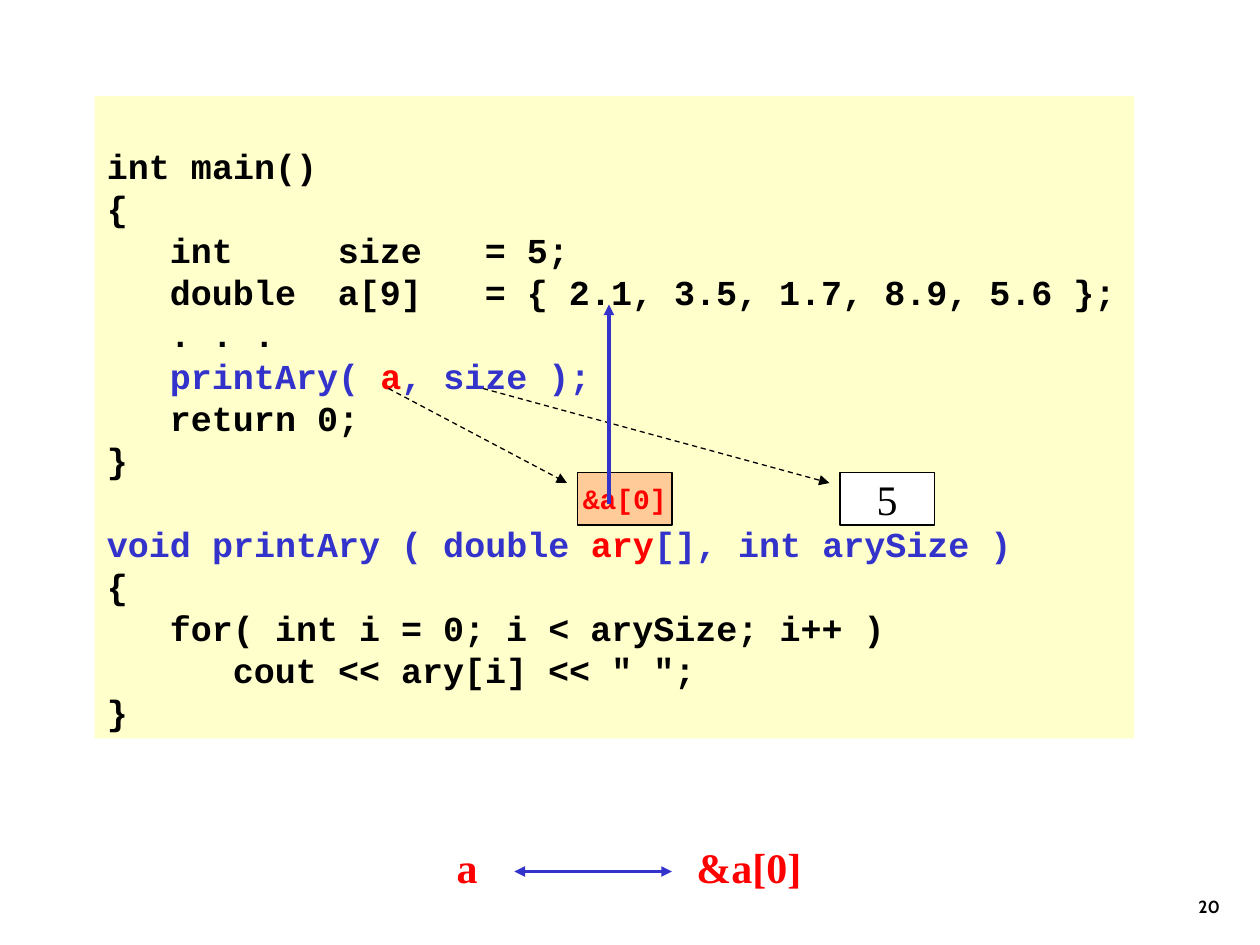
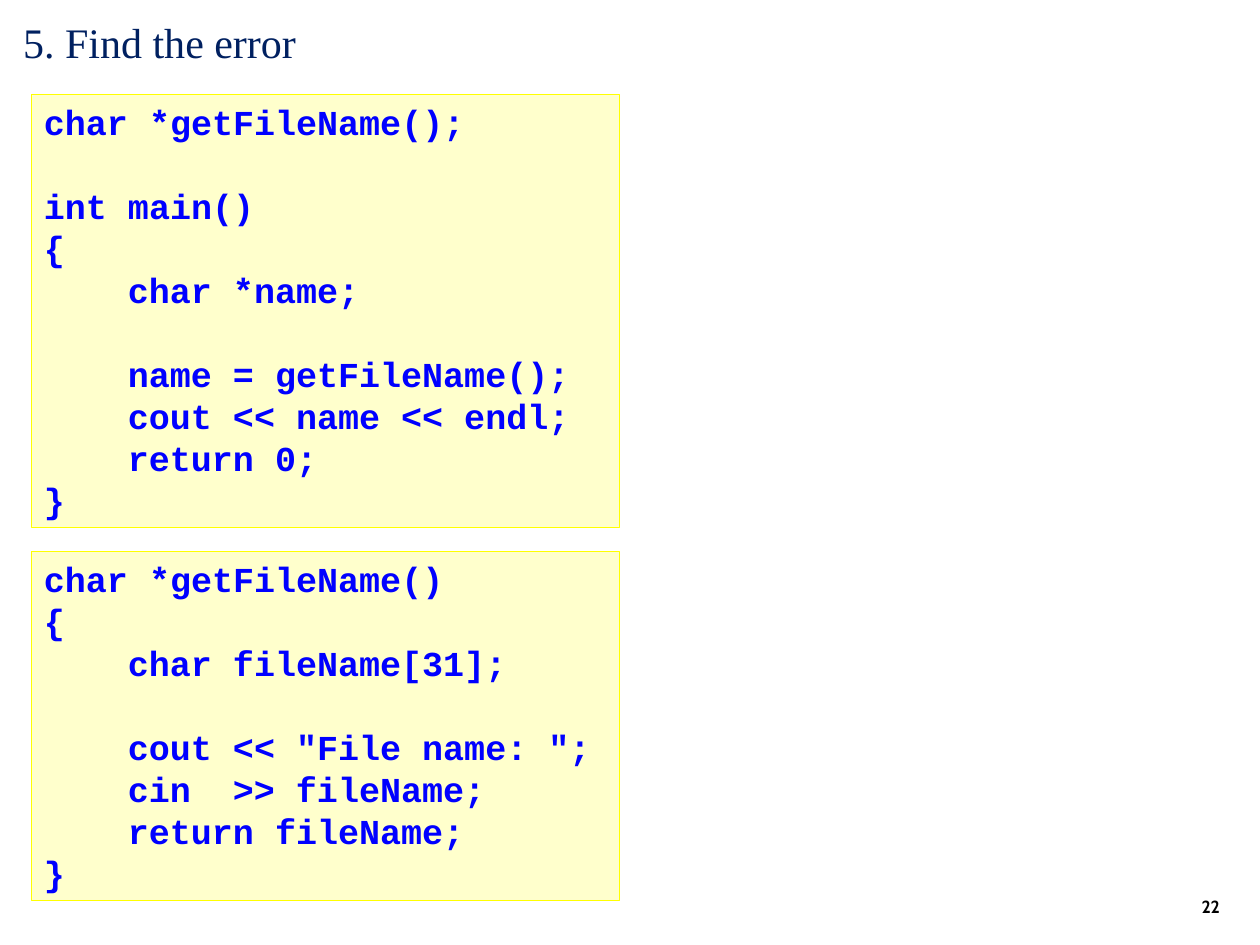
from lxml import etree
from pptx import Presentation
from pptx.dml.color import RGBColor
from pptx.enum import dml, shapes, text
from pptx.oxml import ns
from pptx.util import Pt

COLORS = {"black": "000000", "white": "FFFFFF", "red": "FF0000", "call": "3333CC",
          "code": "0000FF", "cream": "FFFFCC", "peach": "FFCC99",
          "edge": "FFFF00", "title": "002060"}
SERIF, MONO, NUMBER_FONT = "Times New Roman", "Courier New", "Cabin"
CODE_SIZE, CHAR_W, CODE_PITCH = 20, 12, 24
BLANK = None

MAIN_CODE = [
    BLANK,
    (0, "int main()"),
    (0, "{"),
    ((3, 11, 18), "int\tsize\t= 5;"),
    ((3, 11, 18), "double\ta[9]\t= { 2.1, 3.5, 1.7, 8.9, 5.6 };"),
    (3, ". . ."),
    (3, [("printAry( ", "call"), ("a", "red"), (", size );", "call")]),
    (3, "return 0;"),
    (0, "}"),
    BLANK,
    (0, [("void printAry ( double ", "call"), ("ary", "red"),
         ("[], int arySize )", "call")]),
    (0, "{"),
    (3, "for( int i = 0; i < arySize; i++ )"),
    (6, 'cout << ary[i] << " ";'),
    (0, "}"),
]
CALLER_CODE = [
    (0, "char *getFileName();"), BLANK,
    (0, "int main()"), (0, "{"),
    (4, "char *name;"), BLANK,
    (4, "name = getFileName();"), (4, "cout << name << endl;"),
    (4, "return 0;"), (0, "}"),
]
FUNCTION_CODE = [
    (0, "char *getFileName()"), (0, "{"),
    (4, "char fileName[31];"), BLANK,
    (4, 'cout << "File name: ";'), ((4, 9), "cin\t>> fileName;"),
    (4, "return fileName;"), (0, "}"),
]


def rgb(name):
    """Return a palette colour."""
    return RGBColor.from_string(COLORS[name])


def add_run(p, words, font, size, color, bold=False):
    """Append one formatted run to a paragraph."""
    r = p.add_run()
    r.text = words
    r.font.name, r.font.size, r.font.bold = font, Pt(size), bold
    r.font.color.rgb = rgb(color)


def add_rect(s, box, fill, line=None):
    """Add a flat rectangle with an optional thin outline."""
    sp = s.shapes.add_shape(shapes.MSO_SHAPE.RECTANGLE, *map(Pt, box))
    sp.shadow.inherit = False
    sp.fill.solid()
    sp.fill.fore_color.rgb = rgb(fill)
    if line:
        sp.line.color.rgb = rgb(line)
        sp.line.width = Pt(0.75)
    else:
        sp.line.fill.background()
    return sp


def add_label(s, box, words, size, color, font=SERIF, bold=True,
              align=text.PP_ALIGN.CENTER, anchor=text.MSO_ANCHOR.MIDDLE):
    """Add a one-line text box."""
    tf = s.shapes.add_textbox(*map(Pt, box)).text_frame
    tf.word_wrap, tf.vertical_anchor = True, anchor
    tf.paragraphs[0].alignment = align
    add_run(tf.paragraphs[0], words, font, size, color, bold)


def add_arrow(s, box, start, end, color, width, dashed=False, double=False):
    """Add an arrow between two points given relative to a box."""
    left, top = box[:2]
    line = s.shapes.add_connector(
        shapes.MSO_CONNECTOR.STRAIGHT, Pt(left + start[0]), Pt(top + start[1]),
        Pt(left + end[0]), Pt(top + end[1]))
    line.line.color.rgb = rgb(color)
    line.line.width = Pt(width)
    if dashed:
        line.line.dash_style = dml.MSO_LINE.DASH
    ln = line.line._get_or_add_ln()
    for tag in ("a:headEnd", "a:tailEnd") if double else ("a:tailEnd",):
        etree.SubElement(ln, ns.qn(tag), type="triangle")
    etree.SubElement(line._element.spPr, ns.qn("a:effectLst"))


def indent_line(p, indent):
    """Indent a code line by columns, or set tab stops at several columns."""
    pPr = p._p.get_or_add_pPr()
    if isinstance(indent, tuple):
        tabs = etree.SubElement(pPr, ns.qn("a:tabLst"))
        for column in indent:
            etree.SubElement(tabs, ns.qn("a:tab"), pos=str(Pt(column * CHAR_W)), algn="l")
    else:
        pPr.set("marL", str(Pt(indent * CHAR_W)))
        pPr.set("indent", "0")


def add_code(s, box, lines, color, line=None):
    """Add a code panel whose blank lines become spacing."""
    tf = add_rect(s, box, "cream", line).text_frame
    tf.word_wrap, tf.vertical_anchor = True, text.MSO_ANCHOR.TOP
    if lines[0] is BLANK:
        tf.margin_top = Pt(3.6 + CODE_PITCH)
        lines = lines[1:]
    gap = 0
    p = tf.paragraphs[0]
    for i, item in enumerate(lines):
        if item is BLANK:
            gap = CODE_PITCH
            continue
        if i:
            p = tf.add_paragraph()
        indent, runs = item
        p.alignment = text.PP_ALIGN.LEFT
        p.line_spacing, p.space_before = Pt(CODE_PITCH), Pt(gap)
        indent_line(p, indent)
        if isinstance(runs, str):
            runs = [(runs, color)]
        if isinstance(indent, tuple):
            runs = [("\t" + runs[0][0], runs[0][1])] + runs[1:]
        for words, run_color in runs:
            add_run(p, words, MONO, CODE_SIZE, run_color, True)
        gap = 0


def add_value(s, box, left, words, fill, font, size, color, bold):
    """Add a parameter value cell inside the code panel."""
    sp = add_rect(s, (box[0] + left, box[1] + 215, 54, 30), fill, "black")
    tf = sp.text_frame
    tf.word_wrap, tf.vertical_anchor = False, text.MSO_ANCHOR.MIDDLE
    tf.paragraphs[0].alignment = text.PP_ALIGN.CENTER
    add_run(tf.paragraphs[0], words, font, size, color, bold)


def add_passing(s, box):
    """Show how the arguments reach the parameters."""
    add_value(s, box, 426, "5", "white", SERIF, 24, "black", False)
    for start, end in ((168, 270), (222, 420)):
        add_arrow(s, box, (start, 167), (end, 221), "black", 0.75, dashed=True)
    add_value(s, box, 276, "&a[0]", "peach", MONO, 16, "red", True)
    add_arrow(s, box, (294, 233), (294, 119), "call", 2)


def add_equivalence(s, box):
    """Show that the array name and its first address are the same."""
    left, top, _, height = box
    for center, words in ((267, "a"), (428, "&a[0]")):
        add_label(s, (left + center - 50, top, 100, height), words, 24, "red")
    add_arrow(s, box, (294, 48), (384, 48), "call", 2, double=True)


def add_title(s, box, words):
    """Fill and place the title placeholder."""
    sp = s.shapes.title
    sp.left, sp.top, sp.width, sp.height = map(Pt, box)
    tf = sp.text_frame
    tf.auto_size, tf.vertical_anchor = text.MSO_AUTO_SIZE.NONE, text.MSO_ANCHOR.TOP
    p = tf.paragraphs[0]
    p.alignment, p.line_spacing = text.PP_ALIGN.LEFT, Pt(28.8)
    add_run(p, words, SERIF, 24, "title")


def add_number(s, number):
    """Add the slide number in the lower right corner."""
    add_label(s, (554.4, 491.8, 149.8, 36), number, 10, "black", NUMBER_FONT,
              align=text.PP_ALIGN.RIGHT, anchor=text.MSO_ANCHOR.BOTTOM)


def build_passing_slide(prs):
    """Build the slide on passing an array."""
    s = prs.slides.add_slide(prs.slide_layouts[6])
    panel = (54, 55, 594, 367)
    add_number(s, "20")
    add_equivalence(s, (0, 450, 720, 90))
    add_code(s, panel, MAIN_CODE, "black")
    add_passing(s, panel)


def build_error_slide(prs):
    """Build the find-the-error slide."""
    s = prs.slides.add_slide(prs.slide_layouts[5])
    add_title(s, (6, 6, 564, 36), "5. Find the error")
    add_number(s, "22")
    top = 54
    for lines in (CALLER_CODE, FUNCTION_CODE):
        height = len(lines) * CODE_PITCH + 7.5
        add_code(s, (18, top, 336, height), lines, "code", "edge")
        top += height + 13.5


def main():
    """Build and save the presentation."""
    prs = Presentation()
    prs.slide_width, prs.slide_height = Pt(720), Pt(540)
    build_passing_slide(prs)
    build_error_slide(prs)
    prs.save("out.pptx")


if __name__ == "__main__":
    main()
